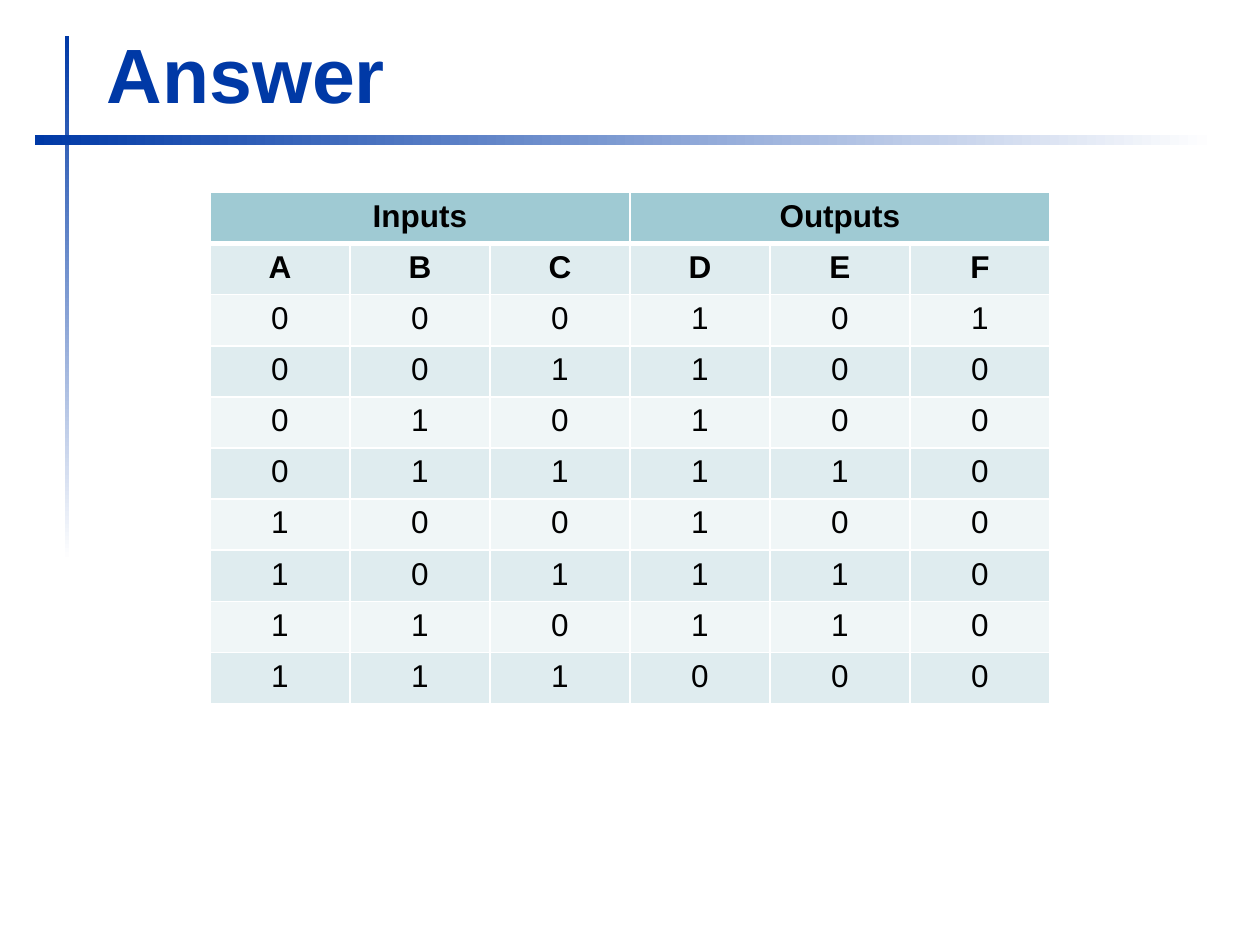
from lxml import etree
from pptx import Presentation
from pptx.dml.color import RGBColor
from pptx.enum.shapes import MSO_SHAPE
from pptx.enum.text import MSO_ANCHOR, PP_ALIGN
from pptx.oxml.ns import qn
from pptx.util import Pt

RECT = MSO_SHAPE.RECTANGLE
BOTTOM = MSO_ANCHOR.BOTTOM
LEFT, CENTER = PP_ALIGN.LEFT, PP_ALIGN.CENTER
BLUE = RGBColor(0x00, 0x39, 0xA6)
WHITE = RGBColor(0xFF, 0xFF, 0xFF)
BLACK = RGBColor(0x00, 0x00, 0x00)
TEAL = RGBColor(0x9F, 0xCA, 0xD3)
MIST = RGBColor(0xDF, 0xEC, 0xEF)
PALE = RGBColor(0xF0, 0xF6, 0xF7)

GROUPS = ("Inputs", "Outputs")
ROWS = ("ABCDEF", "000101", "001100", "010100", "011110",
        "100100", "101110", "110110", "111000")


class Deck:
    """Holds the font and the current slide, and draws each kind of element."""

    def __init__(self, slide, font="Arial"):
        self.slide = slide
        self.font = font

    def style(self, para, size, color, bold, align):
        para.alignment = align
        font = para.font
        font.name, font.size, font.bold = self.font, Pt(size), bold
        font.color.rgb = color

    def fade(self, x, y, w, h, angle):
        bar = self.slide.shapes.add_shape(RECT, Pt(x), Pt(y), Pt(w), Pt(h))
        bar.shadow.inherit = False
        bar.line.fill.background()
        bar.fill.gradient()
        bar.fill.gradient_angle = angle
        for stop, color in zip(bar.fill.gradient_stops, (BLUE, WHITE)):
            stop.color.rgb = color

    def title(self, text, x, y, w, h):
        frame = self.slide.shapes.add_textbox(Pt(x), Pt(y), Pt(w), Pt(h)).text_frame
        frame.word_wrap = True
        frame.vertical_anchor = BOTTOM
        frame.text = text
        self.style(frame.paragraphs[0], 44, BLUE, True, LEFT)

    def border(self, cell, top, bottom):
        props = cell._tc.get_or_add_tcPr()
        for side, width in (("L", 1), ("R", 1), ("T", top), ("B", bottom)):
            line = etree.SubElement(props, qn(f"a:ln{side}"), w=str(Pt(width)))
            fill = etree.SubElement(line, qn("a:solidFill"))
            etree.SubElement(fill, qn("a:srgbClr"), val=str(WHITE))

    def table(self, groups, rows, x, y, wide, high):
        count, span = len(rows[0]), len(rows[0]) // len(groups)
        head = [""] * count
        head[::span] = groups
        grid = self.slide.shapes.add_table(
            len(rows) + 1, count, Pt(x), Pt(y),
            Pt(wide * count), Pt(high * (len(rows) + 1))).table
        for start in range(0, count, span):
            grid.cell(0, start).merge(grid.cell(0, start + span - 1))
        for r, row in enumerate([head, *rows]):
            back = TEAL if r == 0 else MIST if r % 2 else PALE
            for c, text in enumerate(row):
                cell = grid.cell(r, c)
                self.border(cell, 3 if r == 1 else 1, 3 if r == 0 else 1)
                cell.fill.solid()
                cell.fill.fore_color.rgb = back
                cell.text = text
                self.style(cell.text_frame.paragraphs[0], 18, BLACK, r < 2, CENTER)


def main():
    show = Presentation()
    show.slide_width, show.slide_height = Pt(720), Pt(540)
    deck = Deck(show.slides.add_slide(show.slide_layouts[6]))
    deck.fade(37, 20.4, 2.6, 300, 270)
    deck.fade(19.75, 77, 675, 6, 0)
    deck.title("Answer", 54, 11.5, 650, 60)
    deck.table(GROUPS, ROWS, 120, 110, 80, 29.2)
    show.save("out.pptx")


if __name__ == "__main__":
    main()
